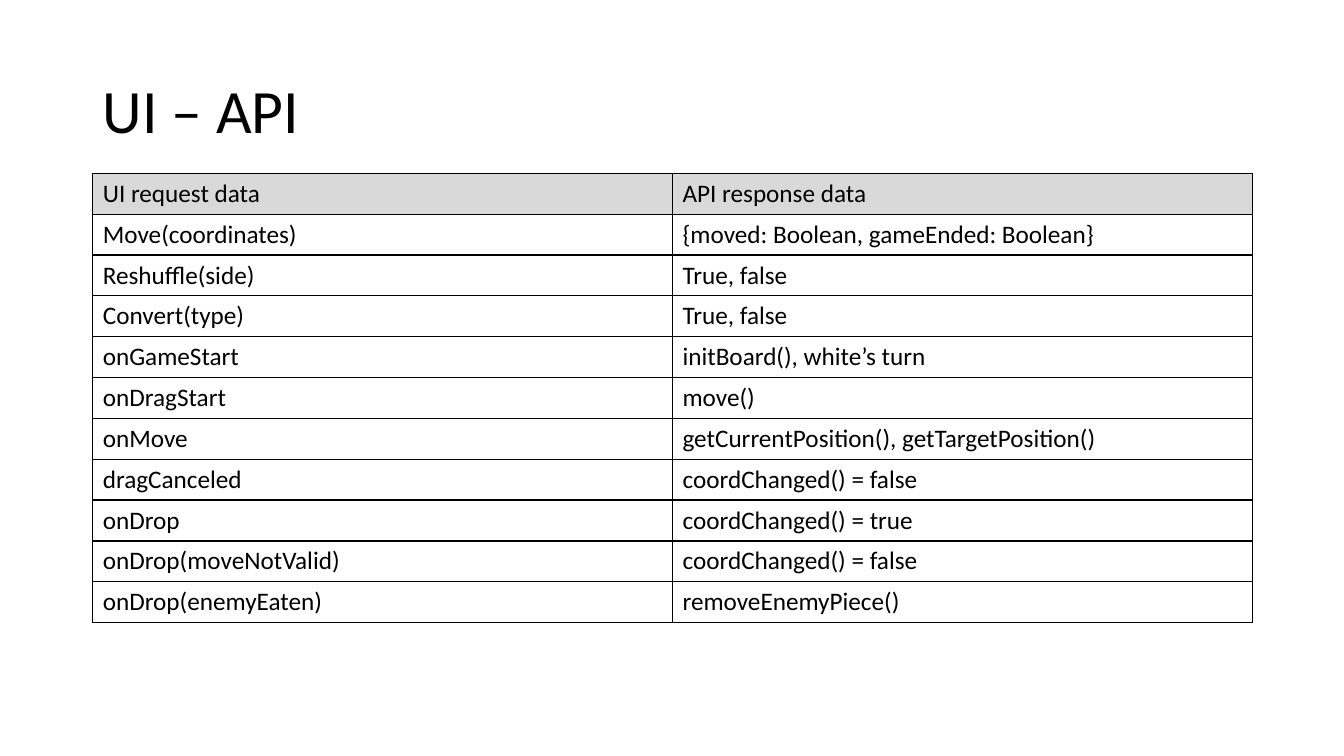
from lxml import etree
from pptx import Presentation
from pptx import util as u
from pptx.dml.color import RGBColor
from pptx.enum import text
from pptx.oxml import ns

CALLS = [
    ("UI request data", "API response data"),
    ("Move(coordinates)", "{moved: Boolean, gameEnded: Boolean}"),
    ("Reshuffle(side)", "True, false"),
    ("Convert(type)", "True, false"),
    ("onGameStart", "initBoard(), white’s turn"),
    ("onDragStart", "move()"),
    ("onMove", "getCurrentPosition(), getTargetPosition()"),
    ("dragCanceled", "coordChanged() = false"),
    ("onDrop", "coordChanged() = true"),
    ("onDrop(moveNotValid)", "coordChanged() = false"),
    ("onDrop(enemyEaten)", "removeEnemyPiece()"),
]


def color(value):
    return RGBColor.from_string(value)


class SlideBuilder:
    font_name = "Calibri"
    ink = "000000"
    header_fill = "D9D9D9"

    def __init__(self, page):
        self.page = page

    def add_span(self, para, words, size):
        span = para.add_run()
        span.text = words
        for name, value in {"name": self.font_name, "size": u.Pt(size), "bold": False}.items():
            setattr(span.font, name, value)
        span.font.color.rgb = color(self.ink)

    def title(self, words, left, top, width, height):
        box = self.page.shapes.add_textbox(*map(u.Inches, (left, top, width, height)))
        frame = box.text_frame
        frame.word_wrap = True
        frame.vertical_anchor = text.MSO_ANCHOR.MIDDLE
        para = frame.paragraphs[0]
        para.line_spacing = 0.9
        self.add_span(para, words, 44)

    def border(self, cell):
        """Draw a thin line on all four sides of the cell."""
        properties = cell._tc.get_or_add_tcPr()
        for side in "LRTB":
            line = etree.SubElement(properties, ns.qn(f"a:ln{side}"), w=str(u.Pt(1)))
            fill = etree.SubElement(line, ns.qn("a:solidFill"))
            etree.SubElement(fill, ns.qn("a:srgbClr"), val=self.ink)

    def table(self, rows, left, top, width, height):
        frame = self.page.shapes.add_table(
            len(rows), len(rows[0]), *map(u.Inches, (left, top, width, height)))
        table = frame.table
        table.first_row = table.horz_banding = False
        for row_index, row in enumerate(rows):
            for column_index, words in enumerate(row):
                cell = table.cell(row_index, column_index)
                self.add_span(cell.text_frame.paragraphs[0], words, 18)
                self.border(cell)
                if row_index == 0:
                    cell.fill.solid()
                    cell.fill.fore_color.rgb = color(self.header_fill)
                else:
                    cell.fill.background()


def main():
    deck = Presentation()
    deck.slide_width, deck.slide_height = u.Inches(13.33), u.Inches(7.5)
    builder = SlideBuilder(deck.slides.add_slide(deck.slide_layouts[6]))
    builder.title("UI – API", 0.92, 0.4, 11.5, 1.45)
    builder.table(CALLS, 0.92, 1.72, 11.5, 4.46)
    deck.save("out.pptx")


if __name__ == "__main__":
    main()
